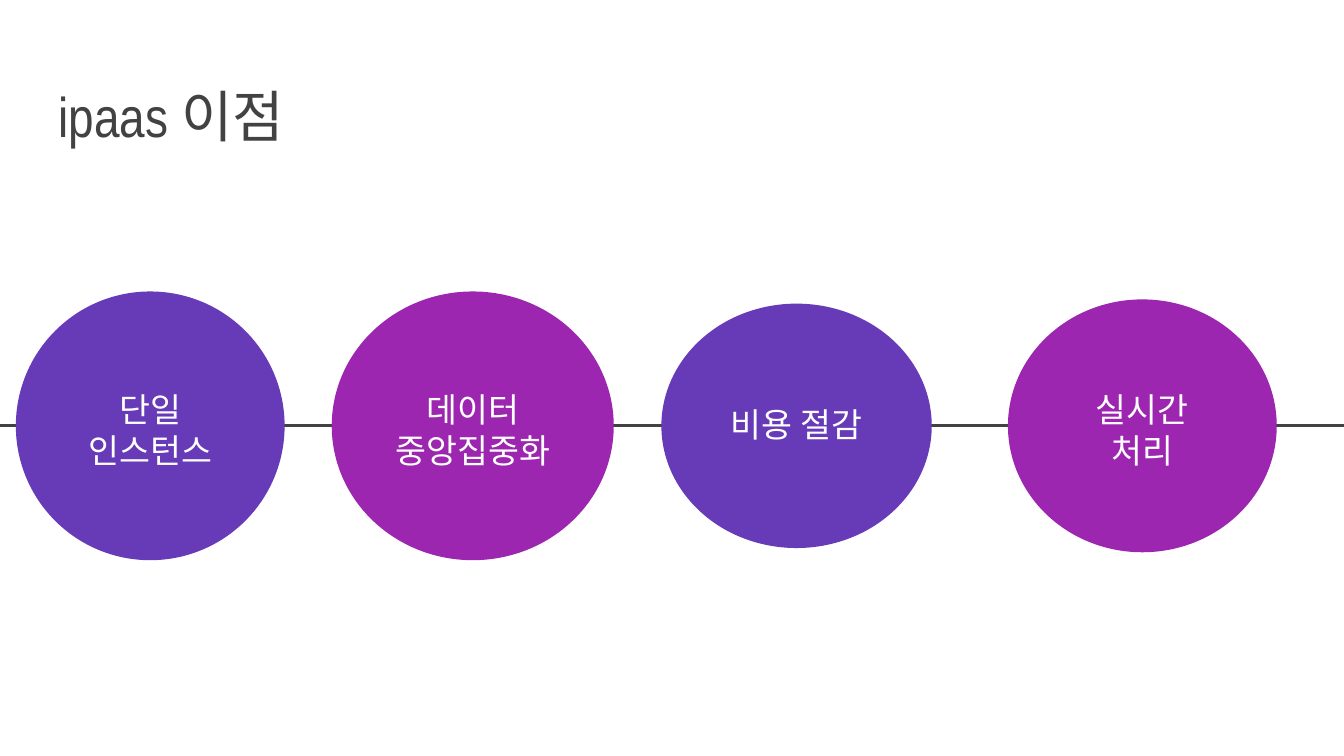
from pptx import Presentation
from pptx.dml.color import RGBColor
from pptx.enum.shapes import MSO_CONNECTOR, MSO_SHAPE
from pptx.enum.text import MSO_ANCHOR, PP_ALIGN
from pptx.util import Cm, Pt
from lxml.etree import SubElement
from pptx.oxml.ns import qn

GREY = RGBColor(0x42, 0x42, 0x42)
PURPLE = RGBColor(0x67, 0x3A, 0xB7)
PINK = RGBColor(0x9C, 0x26, 0xB0)
WHITE = RGBColor(0xFF, 0xFF, 0xFF)
PAD = Cm(0.25)

# left, width, height of the circle; width, height of its label; lines
STEPS = [
    (0.3, 5.08, 5.08, 4.01, 2.03, ["단일 인스턴스"]),
    (6.27, 5.33, 5.08, 4.01, 1.85, ["데이터", "중앙집중화"]),
    (12.5, 5.11, 4.62, 3.91, 1.32, ["비용 절감"]),
    (19.05, 5.08, 4.78, 6.35, 2.03, ["실시간", "처리"]),
]


def style(frame, font, size, color, align, anchor):
    """Format all the text of a frame."""
    frame.word_wrap = True
    frame.vertical_anchor = anchor
    frame.margin_left = frame.margin_right = PAD
    frame.margin_top = frame.margin_bottom = PAD
    for para in frame.paragraphs:
        para.alignment = align
        for run in para.runs:
            run.font.name = font
            run.font.size = Pt(size)
            run.font.color.rgb = color


def head(slide, left, top, width, height, text):
    """Fill the title placeholder and move it to its box."""
    title = slide.shapes.title
    title.left, title.top = Cm(left), Cm(top)
    title.width, title.height = Cm(width), Cm(height)
    title.text_frame.text = text
    style(title.text_frame, "Arial Narrow", 30, GREY,
          PP_ALIGN.LEFT, MSO_ANCHOR.BOTTOM)


def rail(slide, left, right, mid):
    """Draw the level line behind the circles."""
    line = slide.shapes.add_connector(
        MSO_CONNECTOR.STRAIGHT, Cm(left), Cm(mid), Cm(right), Cm(mid))
    line.line.color.rgb = GREY
    line.line.width = Pt(1.5)
    SubElement(line._element.spPr, qn("a:effectLst"))


def disc(slide, left, mid, width, height, color):
    """Draw a circle centred on the level line."""
    shape = slide.shapes.add_shape(
        MSO_SHAPE.OVAL, Cm(left), Cm(mid - height / 2), Cm(width), Cm(height))
    shape.shadow.inherit = False
    shape.fill.solid()
    shape.fill.fore_color.rgb = color
    shape.line.fill.background()


def label(slide, center, top, width, height, lines):
    """Write a label centred on its circle."""
    box = slide.shapes.add_textbox(
        Cm(center - width / 2), Cm(top), Cm(width), Cm(height))
    box.text_frame.text = "\n".join(lines)
    style(box.text_frame, "Courier New", 18, WHITE,
          PP_ALIGN.CENTER, MSO_ANCHOR.TOP)


def chain(slide, left, right, mid):
    """Place the line, the circles and their labels."""
    rail(slide, left, right, mid)
    for i, (x, wide, high, text_w, text_h, lines) in enumerate(STEPS):
        disc(slide, left + x, mid, wide, high, (PURPLE, PINK)[i % 2])
        rise = 0.66 if text_h < 1.5 else 0.94
        label(slide, left + x + wide / 2, mid - rise, text_w, text_h, lines)


def main():
    """Build and save the slide."""
    deck = Presentation()
    deck.slide_width, deck.slide_height = Cm(25.4), Cm(14.29)
    slide = deck.slides.add_slide(deck.slide_layouts[5])
    head(slide, 0.86, 1.04, 23.67, 2.03, "ipaas 이점")
    chain(slide, 0, 25.4, 8.05)
    deck.save("out.pptx")


main()
